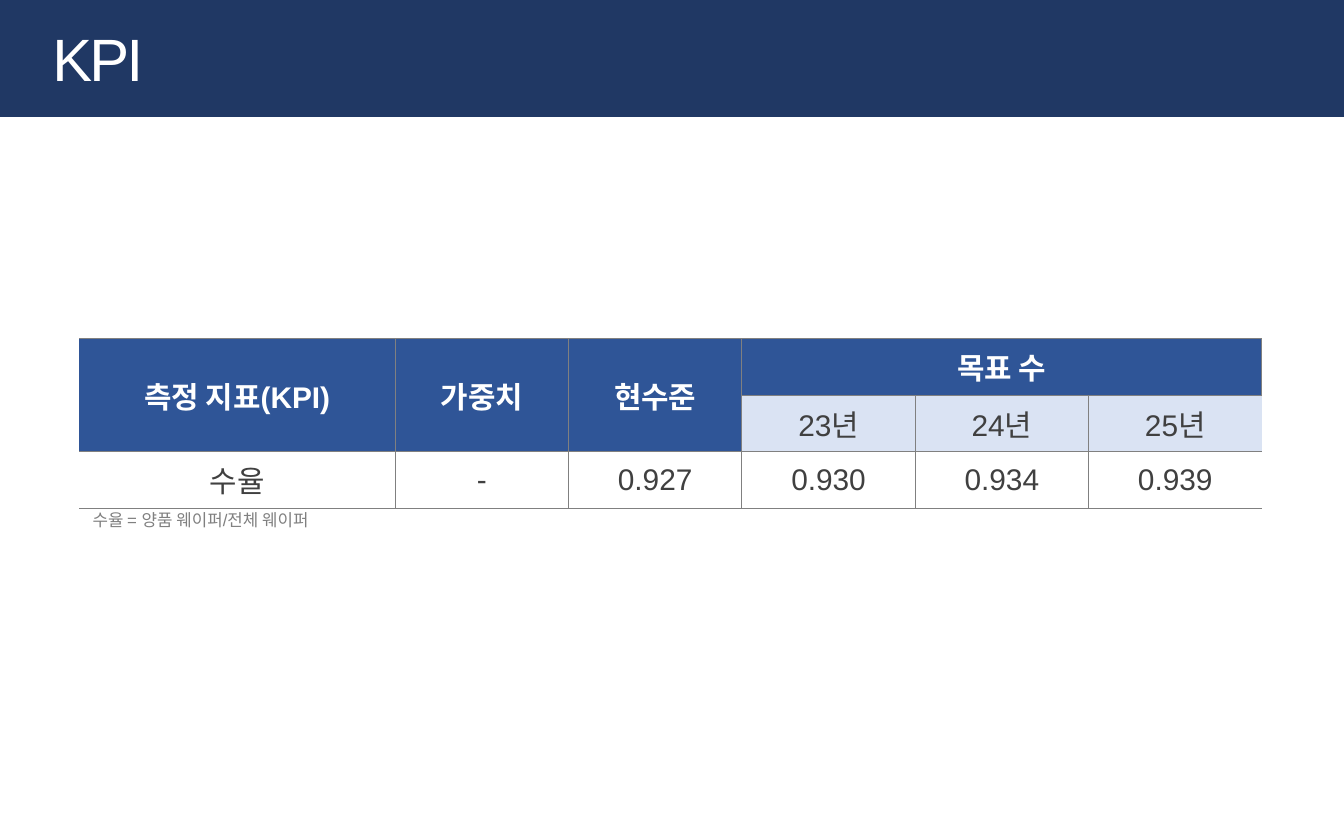
from lxml import etree
from pptx import Presentation
from pptx.dml.color import RGBColor
from pptx.enum.shapes import MSO_SHAPE
from pptx.enum.text import MSO_ANCHOR, MSO_AUTO_SIZE, PP_ALIGN
from pptx.oxml.ns import qn
from pptx.util import Inches, Pt

RECT = MSO_SHAPE.RECTANGLE
MIDDLE = MSO_ANCHOR.MIDDLE
GROW = MSO_AUTO_SIZE.SHAPE_TO_FIT_TEXT
NO_FIT = MSO_AUTO_SIZE.NONE
LEFT, CENTER = PP_ALIGN.LEFT, PP_ALIGN.CENTER

NAVY, BLUE, PALE = "203864", "2F5597", "DAE3F3"
WHITE, DARK, GRAY = "FFFFFF", "404040", "808080"
WIDTHS = [2.35] + [1.29] * 5
ROW = 0.41
ROWS = [
    ["측정 지표(KPI)", "가중치", "현수준", "목표 수", "", ""],
    ["", "", "", "23년", "24년", "25년"],
    ["수율", "-", "0.927", "0.930", "0.934", "0.939"],
]


def paint(fmt, color):
    """Give a fill a solid hex colour."""
    fmt.solid()
    fmt.fore_color.rgb = RGBColor.from_string(color)


def write(frame, text, size=16, color=DARK, bold=False, align=CENTER, gap=0):
    """Put one formatted line of text in a frame."""
    para = frame.paragraphs[0]
    para.alignment = align
    run = para.add_run()
    run.text = text
    font = run.font
    font.name, font.size, font.bold = "Arial", Pt(size), bold
    font.color.rgb = RGBColor.from_string(color)
    if gap:
        font._element.set("spc", str(int(gap * 100)))
    return para


def edge(cell, side, color=None):
    """Draw one cell border, or clear it when there is no colour."""
    line = etree.SubElement(cell._tc.get_or_add_tcPr(), qn(f"a:ln{side}"))
    line.set("w", str(Pt(0.5)))
    if color:
        fill = etree.SubElement(line, qn("a:solidFill"))
        etree.SubElement(fill, qn("a:srgbClr")).set("val", color)
    else:
        etree.SubElement(line, qn("a:noFill"))


def add_bar(slide):
    """Place the header bar behind the title."""
    bar = slide.shapes.add_shape(RECT, 0, 0, Inches(10), Inches(0.87))
    bar.shadow.inherit = False
    paint(bar.fill, NAVY)
    bar.line.fill.background()
    slide.shapes._spTree.insert(2, bar._element)


def add_title(slide, text):
    """Move and format the title placeholder."""
    title = slide.shapes.title
    title.left, title.top = Inches(0.29), Inches(0.06)
    title.width, title.height = Inches(9.45), Inches(0.81)
    frame = title.text_frame
    frame.vertical_anchor = MIDDLE
    frame.auto_size = NO_FIT
    para = write(frame, text, size=32, color=WHITE, align=LEFT, gap=-1.5)
    para.line_spacing = 0.9


def add_grid(slide):
    """Build the KPI table with its merged header."""
    count, last = len(ROWS), len(WIDTHS) - 1
    grid = slide.shapes.add_table(
        count, last + 1, Inches(0.59), Inches(2.52),
        Inches(sum(WIDTHS)), Inches(ROW * count)).table
    for col, width in zip(grid.columns, WIDTHS):
        col.width = Inches(width)
    for r, texts in enumerate(ROWS):
        grid.rows[r].height = Inches(ROW)
        for c, text in enumerate(texts):
            cell = grid.cell(r, c)
            head = r == 0 or (r == 1 and c < 3)
            edge(cell, "L", GRAY if c else None)
            edge(cell, "R", GRAY if c < last else None)
            edge(cell, "T", GRAY)
            edge(cell, "B", GRAY)
            paint(cell.fill, BLUE if head else PALE if r == 1 else WHITE)
            cell.vertical_anchor = MIDDLE
            if text:
                write(cell.text_frame, text, bold=head,
                      color=WHITE if head else DARK)
    for c in range(3):
        grid.cell(0, c).merge(grid.cell(1, c))
    grid.cell(0, 3).merge(grid.cell(0, last))


def add_note(slide, text):
    """Add the small formula under the table."""
    box = slide.shapes.add_textbox(
        Inches(0.59), Inches(3.74), Inches(2.09), Inches(0.25))
    frame = box.text_frame
    frame.word_wrap = True
    frame.auto_size = GROW
    frame.vertical_anchor = MIDDLE
    write(frame, text, size=9, color=GRAY, align=LEFT)


def main():
    """Build and save the KPI slide."""
    deck = Presentation()
    deck.slide_width, deck.slide_height = Inches(10), Inches(6.25)
    slide = deck.slides.add_slide(deck.slide_layouts[5])
    add_bar(slide)
    add_title(slide, "KPI")
    add_grid(slide)
    add_note(slide, "수율 = 양품 웨이퍼/전체 웨이퍼")
    deck.save("out.pptx")


if __name__ == "__main__":
    main()
